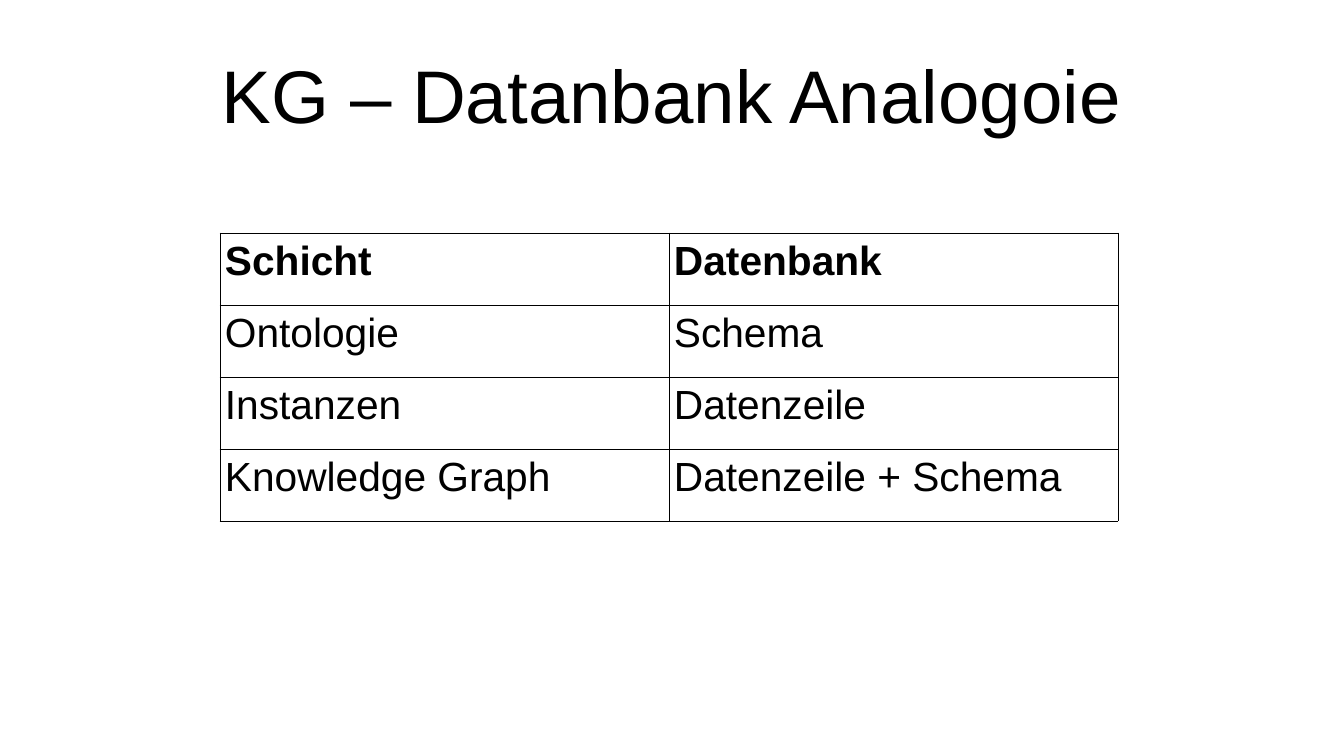
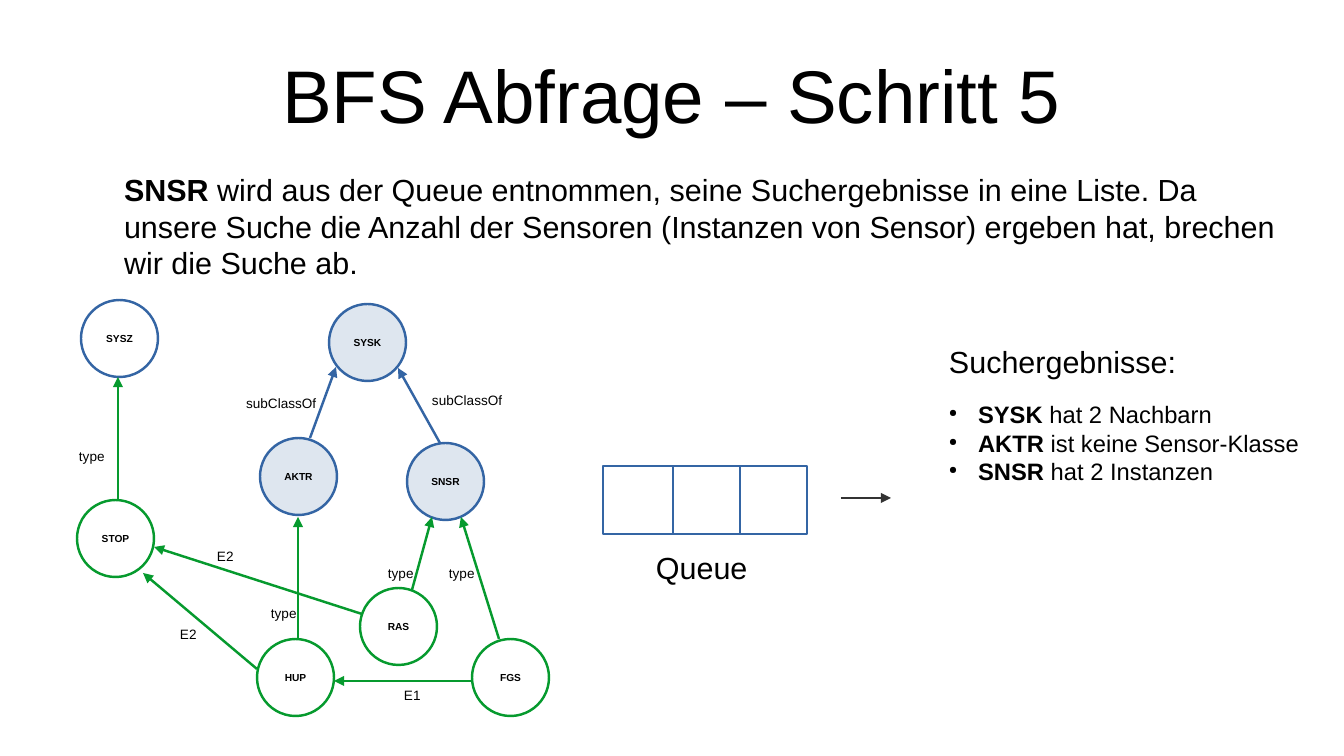
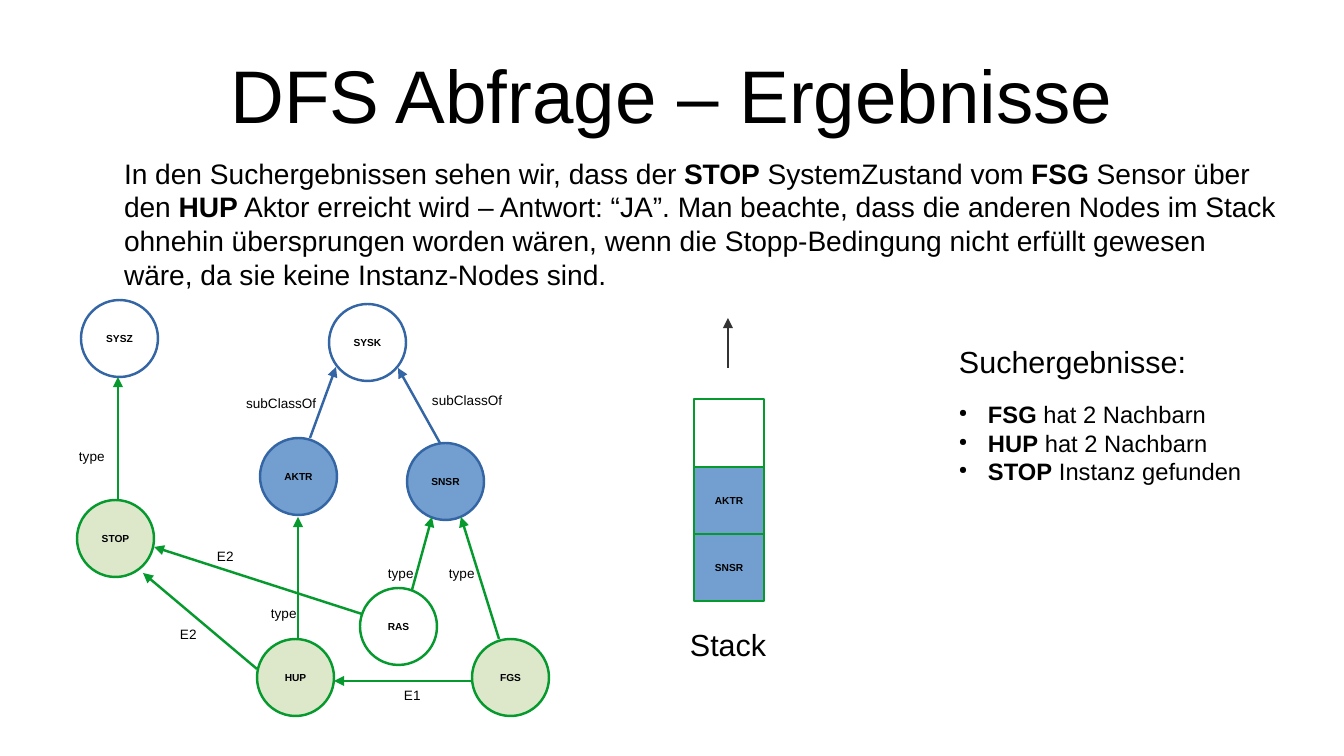
from lxml import etree
from pptx import Presentation
from pptx import util as u
from pptx.dml.color import RGBColor
from pptx.enum import shapes, text
from pptx.oxml import ns

FONT = "Arial"
COLORS = {
    "black": "000000", "white": "FFFFFF", "arrow": "333333",
    "class": "3465A4", "instance": "069A2E",
    "class_visited": "DEE6EF", "class_queued": "729FCF", "instance_visited": "DDE8CB",
}
SLIDE_W, SLIDE_H = 1344, 756
NODE = 77
CELL_W, CELL_H, CELL_STEP = 70, 68, 67
LINE_PT = 1.45
GRAPH_BOX = (67, 300)

NODES = {
    "SYSZ": (14, 0, "class"), "SYSK": (262, 4, "class"),
    "AKTR": (193, 138, "class"), "SNSR": (340, 143, "class"),
    "STOP": (10, 200, "instance"), "RAS": (293, 288, "instance"),
    "HUP": (190, 339, "instance"), "FGS": (405, 339, "instance"),
}
EDGES = [
    ((243, 138), (269, 67), "class", "subClassOf", (167, 89)),
    ((373, 143), (331, 68), "class", "subClassOf", (353, 86)),
    ((345, 290), (365, 217), "instance", "type", (309, 259)),
    ((432, 339), (394, 217), "instance", "type", (370, 259)),
    ((231, 339), (231, 217), "instance", "type", (192, 299)),
    ((51, 200), (51, 77), "instance", "type", (0, 142)),
    ((405, 381), (267, 381), "instance", "E1", (325, 381)),
    ((190, 369), (76, 273), "instance", "E2", (101, 320)),
    ((295, 314), (87, 247), "instance", "E2", (138, 242)),
]
LABEL_W = {"subClassOf": 111, "type": 54, "E1": 42, "E2": 42}

ANALOGY = [
    ("Schicht", "Datenbank"),
    ("Ontologie", "Schema"),
    ("Instanzen", "Datenzeile"),
    ("Knowledge Graph", "Datenzeile + Schema"),
]


def px(n):
    """Turn px into EMU."""
    return u.Emu(round(n * 914400 / 122))


def rgb(name):
    """Look up a palette colour."""
    return RGBColor.from_string(COLORS[name])


def sub(parent, tag, **attrs):
    """Append a DrawingML element."""
    return etree.SubElement(parent, ns.qn(tag), attrs)


def set_insets(frame, h, v):
    """Set the horizontal and vertical margins of a frame or cell."""
    frame.margin_left = frame.margin_right = px(h)
    frame.margin_top = frame.margin_bottom = px(v)


def style(p, size, bold=False):
    """Format every run of a paragraph."""
    for r in p.runs:
        r.font.name, r.font.size, r.font.bold = FONT, u.Pt(size), bold
        r.font.color.rgb = rgb("black")


def write_marked(p, marked, size):
    """Write runs, with the parts between asterisks in bold."""
    for i, part in enumerate(marked.split("*")):
        if part:
            p.add_run().text = part
            style(p, size)
    bold = marked.split("*")[1::2]
    for r in p.runs:
        r.font.bold = r.text in bold


def add_text(s, box, marked, size, insets=(12, 6)):
    """Add a wrapped text box, one paragraph for each line."""
    tf = s.shapes.add_textbox(*map(px, box)).text_frame
    tf.word_wrap = True
    set_insets(tf, *insets)
    for i, line in enumerate(marked.split("\n")):
        write_marked(tf.add_paragraph() if i else tf.paragraphs[0], line, size)
    return tf


def add_block(s, kind, box, fill, line, name=""):
    """Add an outlined shape with a small centred name."""
    sp = s.shapes.add_shape(kind, *map(px, box))
    sp.shadow.inherit = False
    sp.fill.solid()
    sp.fill.fore_color.rgb = rgb(fill)
    sp.line.color.rgb = rgb(line)
    sp.line.width = u.Pt(LINE_PT)
    if name:
        tf = sp.text_frame
        tf.text = name
        tf.word_wrap = False
        tf.vertical_anchor = text.MSO_ANCHOR.MIDDLE
        set_insets(tf, 13, 7)
        tf.paragraphs[0].alignment = text.PP_ALIGN.CENTER
        style(tf.paragraphs[0], 6, True)


def add_arrow(s, start, tip, color):
    """Add a straight arrow pointing at tip."""
    c = s.shapes.add_connector(shapes.MSO_CONNECTOR.STRAIGHT, *map(px, start + tip))
    c.line.color.rgb = rgb(color)
    c.line.width = u.Pt(LINE_PT)
    sp_pr = c._element.spPr
    sub(sp_pr.find(ns.qn("a:ln")), "a:tailEnd", type="triangle")
    sub(sp_pr, "a:effectLst")


def add_slide(prs, title):
    """Add a title-only slide with the shared title style."""
    s = prs.slides.add_slide(prs.slide_layouts[5])
    sp = s.shapes.title
    sp.left, sp.top, sp.width, sp.height = map(px, (67, 30, 1210, 127))
    tf = sp.text_frame
    tf.text = title
    tf.auto_size = text.MSO_AUTO_SIZE.NONE
    tf.vertical_anchor = text.MSO_ANCHOR.MIDDLE
    set_insets(tf, 0, 0)
    tf.paragraphs[0].alignment = text.PP_ALIGN.CENTER
    style(tf.paragraphs[0], 44)
    return s


def add_intro(s, top, marked, size):
    """Add the indented explanation under the title."""
    add_text(s, (124, top, 1153, 111), marked, size, (0, 0))


def add_grid(s, box, rows):
    """Add a plain table with thin black borders."""
    table = s.shapes.add_table(len(rows), len(rows[0]), *map(px, box)).table
    table.first_row = table.horz_banding = False
    for i, row in enumerate(rows):
        table.rows[i].height = px(box[3] / len(rows))
        for j, value in enumerate(row):
            cell = table.cell(i, j)
            cell.text = value
            set_insets(cell, 5, 6)
            style(cell.text_frame.paragraphs[0], 24, i == 0)
            tc_pr = cell._tc.get_or_add_tcPr()
            for side in "LRTB":
                ln = sub(tc_pr, "a:ln" + side, w=str(u.Pt(0.57)))
                sub(sub(ln, "a:solidFill"), "a:srgbClr", val=COLORS["black"])
            cell.fill.background()


def add_graph(s, box, fills):
    """Add the knowledge graph, with fills for the marked nodes."""
    x, y = box
    for name, (dx, dy, kind) in NODES.items():
        add_block(s, shapes.MSO_SHAPE.OVAL, (x + dx, y + dy, NODE, NODE),
                  fills.get(name, "white"), kind, name)
    for start, tip, kind, label, (dx, dy) in EDGES:
        add_arrow(s, (x + start[0], y + start[1]), (x + tip[0], y + tip[1]), kind)
        add_text(s, (x + dx, y + dy, LABEL_W[label], 50), label, 8)


def add_cells(s, box, names, line, step):
    """Add a run of memory cells, the last one lowest."""
    x, y = box
    for i, name in reversed(list(enumerate(names))):
        add_block(s, shapes.MSO_SHAPE.RECTANGLE,
                  (x + i * step[0], y + i * step[1], CELL_W, CELL_H),
                  "class_queued" if name else "white", line, name)


def add_queue(s, box):
    """Add the empty queue with its arrow and caption."""
    x, y = box
    add_cells(s, box, ["", "", ""], "class", (CELL_STEP, 0))
    add_arrow(s, (x + 238, y + 32), (x + 288, y + 32), "arrow")
    add_text(s, (x + 41, y + 77, 117, 51), "Queue", 18)


def add_stack(s, box):
    """Add the stack with its arrow and caption."""
    x, y = box
    add_cells(s, box, ["", "AKTR", "SNSR"], "instance", (0, CELL_STEP))
    add_arrow(s, (x + 34, y - 31), (x + 34, y - 81), "arrow")
    add_text(s, (x - 16, y + 221, 117, 51), "Stack", 18)


def add_results(s, box, lines):
    """Add the heading and bulleted list of search results."""
    x, y = box
    add_text(s, (x, y, 301, 51), "Suchergebnisse:", 18)
    tf = add_text(s, (x, y + 57, 384, 214), "\n".join(lines), 14)
    for p in tf.paragraphs:
        p_pr = p._p.get_or_add_pPr()
        p_pr.set("marL", str(px(29)))
        p_pr.set("indent", str(-px(29)))
        sub(sub(p_pr, "a:buClr"), "a:srgbClr", val=COLORS["black"])
        sub(p_pr, "a:buSzPct", val="45000")
        sub(p_pr, "a:buChar", char="●")


def main():
    """Build the three slides."""
    prs = Presentation()
    prs.slide_width, prs.slide_height = px(SLIDE_W), px(SLIDE_H)

    s = add_slide(prs, "KG – Datanbank Analogoie")
    add_grid(s, (220, 233, 898, 288), ANALOGY)

    s = add_slide(prs, "BFS Abfrage – Schritt 5")
    add_intro(s, 171, "*SNSR* wird aus der Queue entnommen, seine Suchergebnisse in eine "
              "Liste. Da unsere Suche die Anzahl der Sensoren (Instanzen von Sensor) "
              "ergeben hat, brechen wir die Suche ab.", 18)
    add_graph(s, GRAPH_BOX, dict.fromkeys(("SYSK", "AKTR", "SNSR"), "class_visited"))
    add_queue(s, (603, 466))
    add_results(s, (937, 337), ["*SYSK* hat 2 Nachbarn", "*AKTR* ist keine Sensor-Klasse",
                                "*SNSR* hat 2 Instanzen"])

    s = add_slide(prs, "DFS Abfrage – Ergebnisse")
    add_intro(s, 156, "In den Suchergebnissen sehen wir, dass der *STOP* SystemZustand vom "
              "*FSG* Sensor über den *HUP* Aktor erreicht wird – Antwort: “JA”. Man "
              "beachte, dass die anderen Nodes im Stack ohnehin übersprungen worden "
              "wären, wenn die Stopp-Bedingung nicht erfüllt gewesen wäre, da sie keine "
              "Instanz-Nodes sind.", 16.6)
    add_graph(s, GRAPH_BOX, {**dict.fromkeys(("AKTR", "SNSR"), "class_queued"),
                             **dict.fromkeys(("STOP", "HUP", "FGS"), "instance_visited")})
    add_stack(s, (694, 399))
    add_results(s, (947, 337), ["*FSG* hat 2 Nachbarn", "*HUP* hat 2 Nachbarn",
                                "*STOP* Instanz gefunden"])

    prs.save("out.pptx")


if __name__ == "__main__":
    main()
